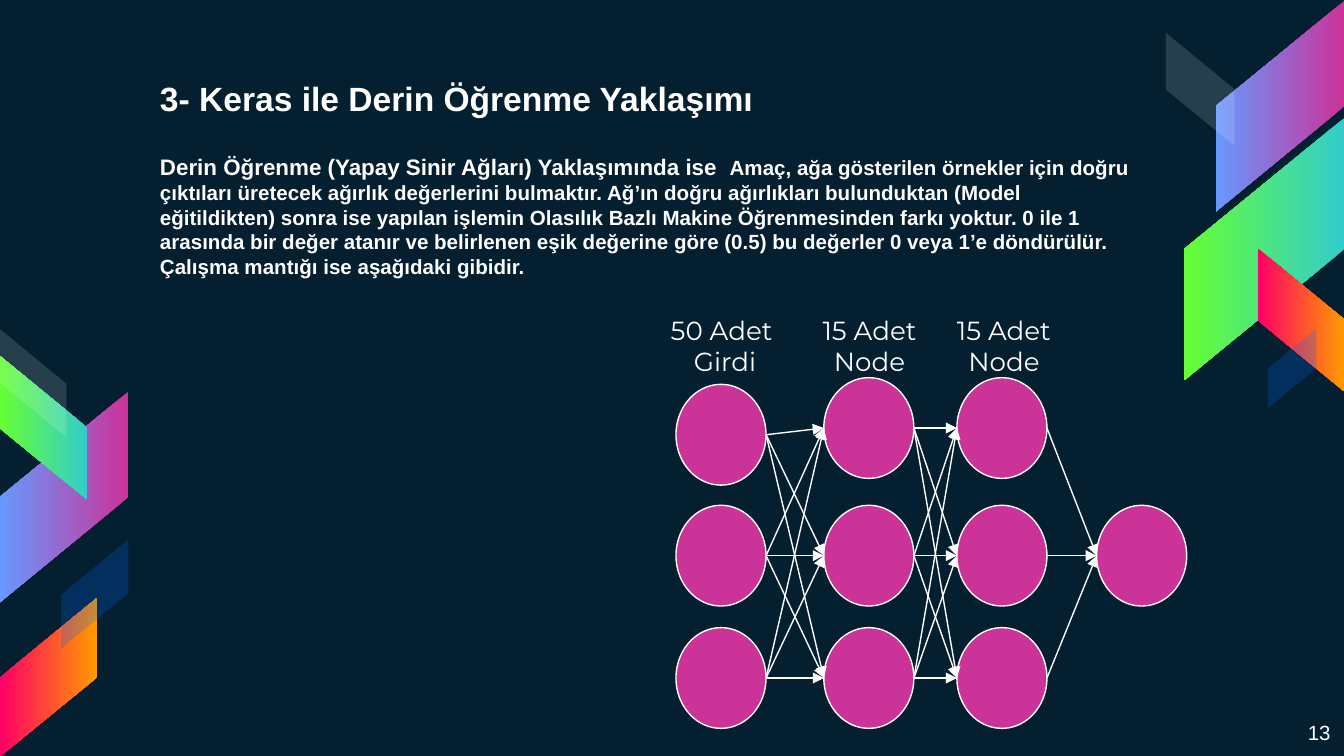
from itertools import pairwise, product

from lxml.etree import SubElement
from pptx import Presentation
from pptx.dml.color import RGBColor
from pptx.enum.shapes import MSO_CONNECTOR, MSO_SHAPE
from pptx.enum.text import MSO_ANCHOR, MSO_AUTO_SIZE, PP_ALIGN
from pptx.oxml.ns import qn
from pptx.util import Inches, Pt

NAVY = RGBColor(0x04, 0x1F, 0x30)
WHITE = RGBColor(0xFF, 0xFF, 0xFF)
MAGENTA = RGBColor(0xCC, 0x33, 0x99)
PERIWINKLE = RGBColor(0x66, 0x99, 0xFF)
TURQUOISE = RGBColor(0x33, 0xCC, 0xCC)
LIME = RGBColor(0x66, 0xFF, 0x33)
ROSE = RGBColor(0xFF, 0x00, 0x66)
ORANGE = RGBColor(0xFF, 0x99, 0x00)
BLUE = RGBColor(0x00, 0x66, 0xFF)

VIOLET_BLEND = (MAGENTA, PERIWINKLE)
GREEN_BLEND = (TURQUOISE, LIME)
FIRE_BLEND = (ROSE, ORANGE)
WHITE_VEIL = (WHITE, 14)
BLUE_VEIL = (BLUE, 23)

# left, top, width, height, rotation, flipped, blend
BLEND_BANDS = [
    (8.74, 0.31, 1.57, 0.96, 90, True, VIOLET_BLEND),
    (8.43, 1.26, 1.95, 1.19, 90, True, GREEN_BLEND),
    (9.15, 2.06, 1.06, 0.64, 270, False, FIRE_BLEND),
    (-0.31, 3.22, 1.57, 0.96, 90, True, VIOLET_BLEND),
    (-0.21, 2.86, 1.07, 0.65, 90, False, GREEN_BLEND),
    (-0.23, 4.68, 1.18, 0.72, 270, True, FIRE_BLEND),
]
# left, top, width, height, rotation, flipped, (colour, opacity in percent)
VEIL_BANDS = [
    (8.51, 0.41, 0.84, 0.51, 270, False, WHITE_VEIL),
    (9.32, 2.56, 0.59, 0.36, 270, True, BLUE_VEIL),
    (-0.16, 2.6, 0.81, 0.5, 270, False, WHITE_VEIL),
    (0.3, 4.17, 0.81, 0.5, 270, True, BLUE_VEIL),
]

NODE_WIDTH, NODE_HEIGHT = 0.67, 0.75
# left edge of each layer, tops of its nodes
LAYERS = [
    (5.03, (2.86, 3.76, 4.67)),
    (6.13, (2.81, 3.76, 4.67)),
    (7.12, (2.81, 3.76, 4.67)),
    (8.16, (3.76,)),
]
LAYER_LABELS = [
    (4.78, ["50 Adet", " Girdi"]),
    (5.88, ["15 Adet Node"]),
    (6.88, ["15 Adet Node"]),
]

TITLE = "3- Keras ile Derin Öğrenme Yaklaşımı"
# text, size, bold
EXPLANATION = [
    ("Derin Öğrenme (Yapay Sinir Ağları) Yaklaşımında ise ", 12, True),
    (" ", 11, False),
    ("Amaç, ağa gösterilen örnekler için doğru çıktıları üretecek ağırlık "
     "değerlerini bulmaktır. Ağ’ın doğru ağırlıkları bulunduktan (Model "
     "eğitildikten) sonra ise yapılan işlemin Olasılık Bazlı Makine "
     "Öğrenmesinden farkı yoktur. 0 ile 1 arasında bir değer atanır ve "
     "belirlenen eşik değerine göre (0.5) bu değerler 0 veya 1’e döndürülür. "
     "Çalışma mantığı ise aşağıdaki gibidir.", 11, True),
]


def add_band(slide, left, top, width, height, rotation, flipped):
    band = slide.shapes.add_shape(MSO_SHAPE.PARALLELOGRAM, Inches(left),
                                  Inches(top), Inches(width), Inches(height))
    band.adjustments[0] = 0.819
    band.rotation = rotation
    if flipped:
        band._element.spPr.find(qn("a:xfrm")).set("flipH", "1")
    band.shadow.inherit = False
    band.line.fill.background()
    return band


def add_blend_band(slide, *placing, blend):
    fill = add_band(slide, *placing).fill
    fill.gradient()
    fill.gradient_angle = 270
    for stop, colour in zip(fill.gradient_stops, blend):
        stop.color.rgb = colour


def add_veil_band(slide, *placing, veil):
    colour, opacity = veil
    band = add_band(slide, *placing)
    band.fill.solid()
    band.fill.fore_color.rgb = colour
    srgb = band._element.spPr.find(qn("a:solidFill")).find(qn("a:srgbClr"))
    SubElement(srgb, qn("a:alpha")).set("val", str(opacity * 1000))


def add_run(paragraph, text, size, font="Arial", bold=False):
    run = paragraph.add_run()
    run.text = text
    run.font.size = Pt(size)
    run.font.name = font
    run.font.bold = bold
    run.font.color.rgb = WHITE


def prepare_frame(shape, anchor=MSO_ANCHOR.TOP):
    frame = shape.text_frame
    frame.word_wrap = True
    frame.auto_size = MSO_AUTO_SIZE.NONE
    frame.vertical_anchor = anchor
    frame.margin_left = frame.margin_right = Inches(0.1)
    frame.margin_top = frame.margin_bottom = Inches(0.1)
    return frame


def place(shape, left, top, width, height):
    shape.left, shape.top = Inches(left), Inches(top)
    shape.width, shape.height = Inches(width), Inches(height)


def fill_title(title):
    place(title, 1.09, 0.28, 6.53, 0.7)
    paragraph = prepare_frame(title, MSO_ANCHOR.BOTTOM).paragraphs[0]
    paragraph.alignment = PP_ALIGN.LEFT
    paragraph.space_before = Pt(6)
    add_run(paragraph, TITLE, 18, bold=True)


def fill_body(body):
    place(body, 1.09, 1.04, 7.42, 1.28)
    paragraph = prepare_frame(body).paragraphs[0]
    paragraph.space_before = Pt(0)
    properties = paragraph._p.get_or_add_pPr()
    properties.set("marL", "0")
    properties.set("indent", "0")
    SubElement(properties, qn("a:buNone"))
    for text, size, bold in EXPLANATION:
        add_run(paragraph, text, size, bold=bold)


def add_text(slide, left, top, width, height, lines, size, font, alignment):
    box = slide.shapes.add_textbox(Inches(left), Inches(top),
                                   Inches(width), Inches(height))
    frame = prepare_frame(box)
    for index, line in enumerate(lines):
        paragraph = frame.add_paragraph() if index else frame.paragraphs[0]
        paragraph.alignment = alignment
        add_run(paragraph, line, size, font)


def add_node(slide, left, top):
    node = slide.shapes.add_shape(MSO_SHAPE.OVAL, Inches(left), Inches(top),
                                  Inches(NODE_WIDTH), Inches(NODE_HEIGHT))
    node.shadow.inherit = False
    node.fill.solid()
    node.fill.fore_color.rgb = MAGENTA
    node.line.color.rgb = WHITE
    node.line.width = Pt(0.75)
    return node


def add_arrow(slide, source, target):
    """Run an arrow from the right of one node to the left of another."""
    arrow = slide.shapes.add_connector(
        MSO_CONNECTOR.STRAIGHT,
        source.left + source.width, source.top + source.height // 2,
        target.left, target.top + target.height // 2)
    arrow.line.color.rgb = WHITE
    arrow.line.width = Pt(0.75)
    SubElement(arrow.line._get_or_add_ln(), qn("a:tailEnd")).set("type", "triangle")
    SubElement(arrow._element.spPr, qn("a:effectLst"))


def add_network(slide):
    layers = [[add_node(slide, left, top) for top in tops]
              for left, tops in LAYERS]
    for left, lines in LAYER_LABELS:
        add_text(slide, left, 2.24, 1.18, 0.46, lines, 14, "Montserrat",
                 PP_ALIGN.CENTER)
    for sources, targets in pairwise(layers):
        for source, target in product(sources, targets):
            add_arrow(slide, source, target)


def main():
    presentation = Presentation()
    presentation.slide_width = Inches(10)
    presentation.slide_height = Inches(10) * 9 // 16
    slide = presentation.slides.add_slide(presentation.slide_layouts[1])
    slide.background.fill.solid()
    slide.background.fill.fore_color.rgb = NAVY

    for *placing, blend in BLEND_BANDS:
        add_blend_band(slide, *placing, blend=blend)
    for *placing, veil in VEIL_BANDS:
        add_veil_band(slide, *placing, veil=veil)
    fill_title(slide.shapes.title)
    fill_body(slide.placeholders[1])
    add_text(slide, 9.36, 5.26, 0.64, 0.36, ["13"], 11, "Arial", PP_ALIGN.RIGHT)
    add_network(slide)
    presentation.save("out.pptx")


if __name__ == "__main__":
    main()
